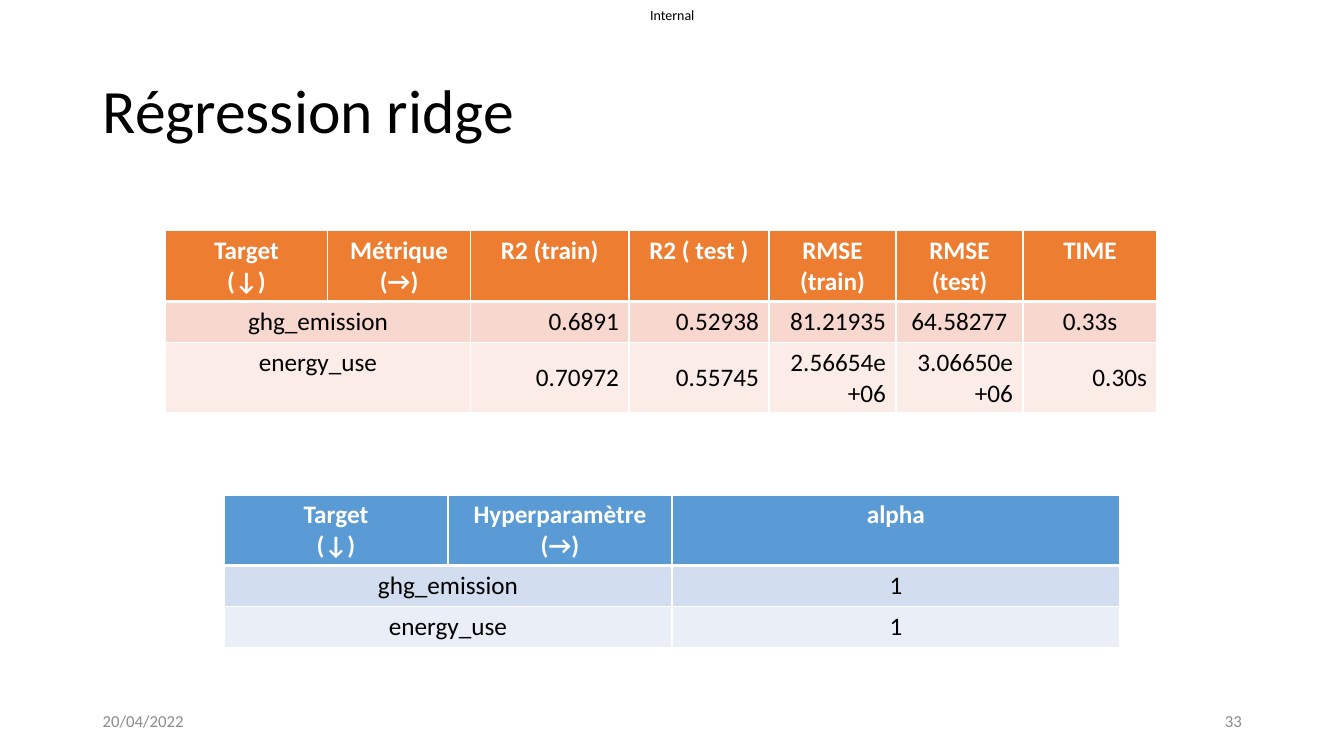
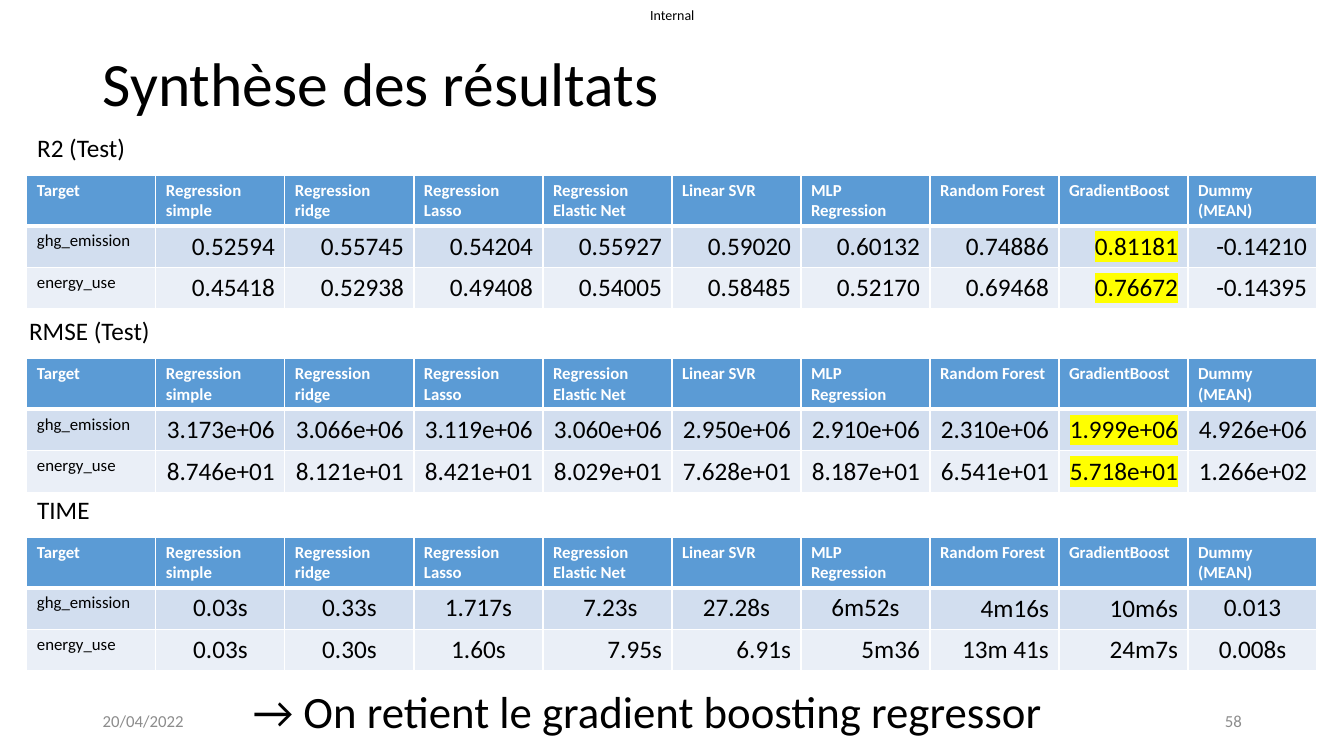
from lxml import etree
from pptx import Presentation
from pptx.dml.color import RGBColor
from pptx.enum.text import MSO_ANCHOR, PP_ALIGN
from pptx.oxml.ns import qn
from pptx.util import Pt

TOP, MIDDLE = MSO_ANCHOR.TOP, MSO_ANCHOR.MIDDLE
LEFT, CENTER, RIGHT = PP_ALIGN.LEFT, PP_ALIGN.CENTER, PP_ALIGN.RIGHT
ALIGNMENTS = {"l": LEFT, "c": CENTER, "r": RIGHT}

FONT = "Calibri"
BLACK = RGBColor(0x00, 0x00, 0x00)
WHITE = RGBColor(0xFF, 0xFF, 0xFF)
GREY = RGBColor(0x8C, 0x8C, 0x8C)
YELLOW = RGBColor(0xFF, 0xFF, 0x00)
# Header, first body row, second body row
ORANGE_ROWS = (RGBColor(0xED, 0x7D, 0x31), RGBColor(0xF8, 0xD7, 0xCE), RGBColor(0xFC, 0xEC, 0xE8))
BLUE_ROWS = (RGBColor(0x5B, 0x9B, 0xD5), RGBColor(0xD2, 0xDE, 0xEF), RGBColor(0xEA, 0xEF, 0xF7))

SLIDE_WIDTH, SLIDE_HEIGHT = 960, 540
MARGIN = 66.24
CONTENT_WIDTH = 828
VALUE_SIZE = 18
DATE = "20/04/2022"

# Each row is (alignment of every column, texts); None continues the cell on its left.
RIDGE_SCORES = [
    ("ccccccc", ["Target\n(↓)", "Métrique\n(→)", "R2 (train)", "R2 ( test )",
                 "RMSE (train)", "RMSE (test)", "TIME"]),
    ("ccrrrrc", ["ghg_emission", None, "0.6891", "0.52938", "81.21935", "64.58277 ", "0.33s"]),
    ("ccrrrrr", ["energy_use", None, "0.70972", "0.55745", "2.56654e+06", "3.06650e+06", "0.30s"]),
]
RIDGE_PARAMETERS = [
    ("ccc", ["Target\n(↓)", "Hyperparamètre\n(→)", "alpha"]),
    ("ccc", ["ghg_emission", None, "1"]),
    ("ccc", ["energy_use", None, "1"]),
]

MODELS = ["Target", "Regression simple", "Regression ridge", "Regression Lasso",
          "Regression Elastic Net", "Linear SVR", "MLP Regression", "Random Forest",
          "GradientBoost", "Dummy (MEAN)"]
BEST_COLUMN = MODELS.index("GradientBoost")
MODELS_ROW = ("l" * len(MODELS), MODELS)
SCORE_ALIGNMENT = "l" + "r" * (len(MODELS) - 1)

SUMMARY = [
    dict(
        caption="R2 (Test)", caption_box=(19.44, 90.72, 82.8, 28.8),
        top=125.28, highlighted=BEST_COLUMN,
        rows=[
            (SCORE_ALIGNMENT, ["ghg_emission", "0.52594", "0.55745", "0.54204", "0.55927",
                               "0.59020", "0.60132", "0.74886", "0.81181", "-0.14210"]),
            (SCORE_ALIGNMENT, ["energy_use", "0.45418", "0.52938", "0.49408", "0.54005",
                               "0.58485", "0.52170", "0.69468", "0.76672", "-0.14395"]),
        ]),
    dict(
        caption="RMSE (Test)", caption_box=(13.68, 221.76, 123.12, 28.8),
        top=256.32, highlighted=BEST_COLUMN,
        rows=[
            (SCORE_ALIGNMENT, ["ghg_emission", "3.173e+06", "3.066e+06", "3.119e+06", "3.060e+06",
                               "2.950e+06", "2.910e+06", "2.310e+06", "1.999e+06", "4.926e+06"]),
            (SCORE_ALIGNMENT, ["energy_use", "8.746e+01", "8.121e+01", "8.421e+01", "8.029e+01",
                               "7.628e+01", "8.187e+01", "6.541e+01", "5.718e+01", "1.266e+02"]),
        ]),
    dict(
        caption="TIME", caption_box=(19.44, 349.2, 123.12, 28.8),
        top=383.76, highlighted=None,
        rows=[
            ("lccccccrrc", ["ghg_emission", "0.03s", "0.33s", "1.717s", " 7.23s",
                            "27.28s", "6m52s", "4m16s", "10m6s", "0.013"]),
            ("lcccrrrrrc", ["energy_use", "0.03s", "0.30s", "1.60s", "7.95s",
                            "6.91s", "5m36", "13m 41s", "24m7s", "0.008s"]),
        ]),
]


def write(paragraph, text, size, color=BLACK, alignment=LEFT, bold=False, highlight=None):
    paragraph.alignment = alignment
    run = paragraph.add_run()
    run.text = text
    run.font.name = FONT
    run.font.size = Pt(size)
    run.font.bold = bold
    run.font.color.rgb = color
    if highlight is not None:
        mark = etree.Element(qn("a:highlight"))
        etree.SubElement(mark, qn("a:srgbClr"), val=str(highlight))
        run._r.get_or_add_rPr().find(qn("a:solidFill")).addnext(mark)


def add_text(slide, box, text, size, color=BLACK, alignment=LEFT, anchor=TOP):
    shape = slide.shapes.add_textbox(*(Pt(length) for length in box))
    frame = shape.text_frame
    frame.word_wrap = True
    frame.vertical_anchor = anchor
    write(frame.paragraphs[0], text, size, color, alignment)
    return frame


def add_borders(cell, top, bottom):
    """Draw white borders; top and bottom are line widths in points."""
    properties = cell._tc.get_or_add_tcPr()
    for side, width in (("L", 1), ("R", 1), ("T", top), ("B", bottom)):
        line = etree.SubElement(properties, qn(f"a:ln{side}"), w=str(Pt(width)))
        fill = etree.SubElement(line, qn("a:solidFill"))
        etree.SubElement(fill, qn("a:srgbClr"), val=str(WHITE))


def add_table(slide, left, top, widths, heights, rows, fills, label_size, highlighted=None):
    """Add a table whose header row and first column use label_size."""
    frame = slide.shapes.add_table(len(rows), len(widths), Pt(left), Pt(top),
                                   Pt(sum(widths)), Pt(sum(heights)))
    table = frame.table
    for column, width in zip(table.columns, widths):
        column.width = Pt(width)
    for row, height in zip(table.rows, heights):
        row.height = Pt(height)

    for row_index, (alignments, texts) in enumerate(rows):
        header = row_index == 0
        for column_index, (code, text) in enumerate(zip(alignments, texts)):
            cell = table.cell(row_index, column_index)
            add_borders(cell, 3 if row_index == 1 else 1, 3 if header else 1)
            cell.fill.solid()
            cell.fill.fore_color.rgb = fills[row_index]
            if text is None:
                table.cell(row_index, column_index - 1).merge(cell)
                continue
            cell.vertical_anchor = MIDDLE if code == "r" else TOP
            size = label_size if header or column_index == 0 else VALUE_SIZE
            marked = column_index == highlighted and not header
            for line_index, line in enumerate(text.split("\n")):
                frame = cell.text_frame
                paragraph = frame.add_paragraph() if line_index else frame.paragraphs[0]
                write(paragraph, line, size, WHITE if header else BLACK,
                      ALIGNMENTS[code], header, YELLOW if marked else None)


def add_slide(presentation, title, title_top, number):
    """Add a slide with the classification mark, title and footer."""
    slide = presentation.slides.add_slide(presentation.slide_layouts[6])
    mark = add_text(slide, (453.6, 0, 53.28, 20.88), "Internal", 10, BLACK, CENTER, MIDDLE)
    mark.margin_left = mark.margin_right = mark.margin_top = mark.margin_bottom = 0
    heading = add_text(slide, (MARGIN, title_top, CONTENT_WIDTH, 104.4), title, 44, anchor=MIDDLE)
    heading.paragraphs[0].line_spacing = 0.9
    footer_width = 216
    number_left = MARGIN + CONTENT_WIDTH - footer_width
    for left, text, alignment in ((MARGIN, DATE, LEFT), (number_left, str(number), RIGHT)):
        add_text(slide, (left, 500.4, footer_width, 28.8), text, 12, GREY, alignment, MIDDLE)
    return slide


def add_ridge_slide(presentation):
    slide = add_slide(presentation, "Régression ridge", 28.8, 33)
    score_widths = [115.92, 102.24, 113.04, 100.08, 90.72, 90.72, 95.76]
    add_table(slide, 118.08, 164.88, score_widths, [50.4, 29.2, 50.4],
              RIDGE_SCORES, ORANGE_ROWS, 18)
    parameter_widths = [160, 160, 320]
    add_table(slide, (SLIDE_WIDTH - sum(parameter_widths)) / 2, 353.52, parameter_widths,
              [50.4, 29.2, 29.2], RIDGE_PARAMETERS, BLUE_ROWS, 18)


def add_summary_slide(presentation):
    slide = add_slide(presentation, "Synthèse des résultats", 9.36, 58)
    widths = [92.16] * len(MODELS)
    left = (SLIDE_WIDTH - sum(widths)) / 2
    for section in SUMMARY:
        add_table(slide, left, section["top"], widths, [36, 29.6, 29.6],
                  [MODELS_ROW] + section["rows"], BLUE_ROWS, 12, section["highlighted"])
        add_text(slide, section["caption_box"], section["caption"], 18)
    add_text(slide, (173.52, 484.56, 585.36, 46.08),
             "→ On retient le gradient boosting regressor", 32)


def main():
    presentation = Presentation()
    presentation.slide_width = Pt(SLIDE_WIDTH)
    presentation.slide_height = Pt(SLIDE_HEIGHT)
    add_ridge_slide(presentation)
    add_summary_slide(presentation)
    presentation.save("out.pptx")


if __name__ == "__main__":
    main()
